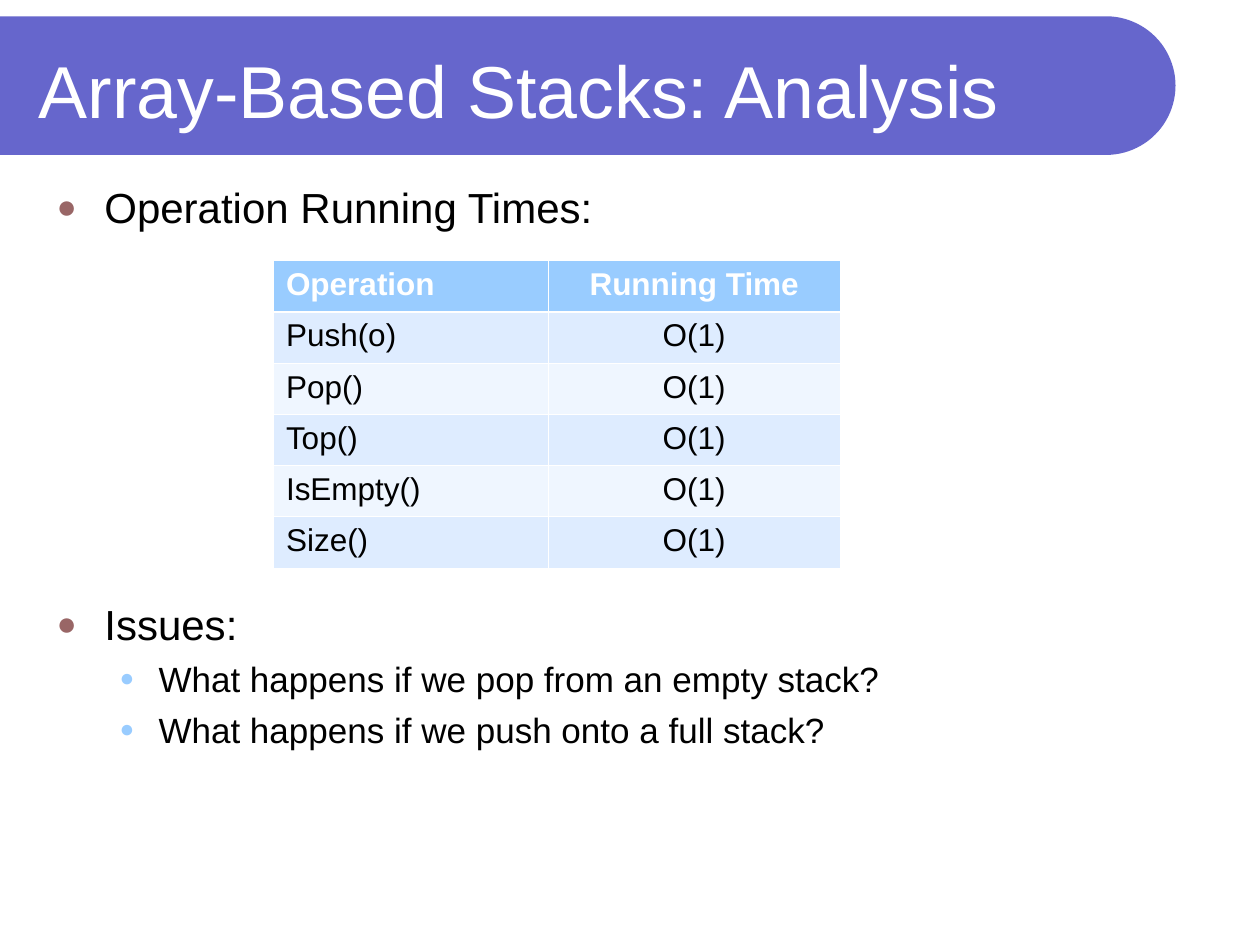
from dataclasses import dataclass
from math import cos, pi, sin

from lxml.etree import SubElement
from pptx import Presentation
from pptx.dml.color import RGBColor as RGB
from pptx.enum.text import MSO_ANCHOR as Anchor, PP_ALIGN as Align
from pptx.oxml.ns import qn
from pptx.util import Inches, Pt


@dataclass(frozen=True)
class Theme:
    font: str = "Arial"
    banner: str = "6666CC"
    light: str = "FFFFFF"
    dark: str = "000000"
    header: str = "99CCFF"
    bands: tuple = ("DEECFF", "EFF6FF")
    title_size: int = 42
    table_size: int = 18
    # Per outline level
    bullet_colors: tuple = ("996666", "99CCFF")
    bullet_scales: tuple = (80, 70)
    sizes: tuple = (24, 20)
    space_before: tuple = (6, 5)
    margins: tuple = (0.38, 0.81)
    hanging: tuple = (0.38, 0.31)


theme = Theme()


def style(paragraph, size, color, bold=False):
    font = paragraph.font
    font.name, font.size, font.bold = theme.font, Pt(size), bold
    font.color.rgb = RGB.from_string(color)


def add_bullet(paragraph, level):
    props = paragraph._p.get_or_add_pPr()
    props.set("marL", str(Inches(theme.margins[level])))
    props.set("indent", str(-Inches(theme.hanging[level])))
    color = SubElement(props, qn("a:buClr"))
    SubElement(color, qn("a:srgbClr"), val=theme.bullet_colors[level])
    SubElement(props, qn("a:buSzPct"), val=str(theme.bullet_scales[level] * 1000))
    SubElement(props, qn("a:buFont"), typeface=theme.font)
    SubElement(props, qn("a:buChar"), char="●")


deck = Presentation()
deck.slide_width, deck.slide_height = Inches(10), Inches(7.5)
page = deck.slides.add_slide(deck.slide_layouts[6])

# Banner with a half-round right end
banner_top, banner_right, radius = 0.13, 9.33, 0.55
arc_steps = 48
angles = [pi * (step / arc_steps - 0.5) for step in range(arc_steps + 1)]
arc = [(Inches(banner_right - radius + radius * cos(angle)),
        Inches(banner_top + radius + radius * sin(angle))) for angle in angles]
outline = page.shapes.build_freeform(0, Inches(banner_top))
outline.add_line_segments(arc + [(0, Inches(banner_top + 2 * radius))], close=True)
banner = outline.convert_to_shape()
banner.shadow.inherit = False
banner.fill.solid()
banner.fill.fore_color.rgb = RGB.from_string(theme.banner)
banner.line.fill.background()

title = page.shapes.add_textbox(Inches(0.21), Inches(0.21), Inches(8.77), Inches(1))
title.text_frame.word_wrap = True
title.text_frame.vertical_anchor = Anchor.MIDDLE
title.text_frame.text = "Array-Based Stacks: Analysis"
style(title.text_frame.paragraphs[0], theme.title_size, theme.light)

# Bulleted text above and below the table: top, height, (level, text)
outlines = [
    (1.39, 0.5, [(0, "Operation Running Times:")]),
    (4.7, 2.44, [(0, "Issues:"),
                 (1, "What happens if we pop from an empty stack?"),
                 (1, "What happens if we push onto a full stack?")]),
]
for top, height, items in outlines:
    box = page.shapes.add_textbox(Inches(0.35), Inches(top), Inches(9.29), Inches(height))
    frame = box.text_frame
    frame.word_wrap = True
    for index, (level, text) in enumerate(items):
        para = frame.add_paragraph() if index else frame.paragraphs[0]
        para.text, para.level = text, level
        if index:
            para.space_before = Pt(theme.space_before[level])
        add_bullet(para, level)
        style(para, theme.sizes[level], theme.dark)

# Running times
operations = ["Push(o)", "Pop()", "Top()", "IsEmpty()", "Size()"]
rows = [("Operation", "Running Time")] + [(name, "O(1)") for name in operations]
table = page.shapes.add_table(len(rows), 2, Inches(2.17), Inches(2.07),
                              Inches(4.5), Inches(2.44)).table
for column, width in zip(table.columns, (2.18, 2.32)):
    column.width = Inches(width)

thin, thick = 0.45, 1.47
for row_index, row in enumerate(rows):
    is_header = row_index == 0
    fill = theme.header if is_header else theme.bands[(row_index - 1) % 2]
    borders = {"L": thin, "R": thin,
               "T": thick if row_index == 1 else thin,
               "B": thick if is_header else thin}
    for column_index, text in enumerate(row):
        cell = table.cell(row_index, column_index)
        cell.text = text
        para = cell.text_frame.paragraphs[0]
        para.alignment = Align.CENTER if column_index else Align.LEFT
        style(para, theme.table_size, theme.light if is_header else theme.dark, is_header)
        props = cell._tc.get_or_add_tcPr()
        for side, width in borders.items():
            border = SubElement(props, qn(f"a:ln{side}"), w=str(Pt(width)))
            solid = SubElement(border, qn("a:solidFill"))
            SubElement(solid, qn("a:srgbClr"), val=theme.light)
        cell.fill.solid()
        cell.fill.fore_color.rgb = RGB.from_string(fill)

deck.save("out.pptx")
